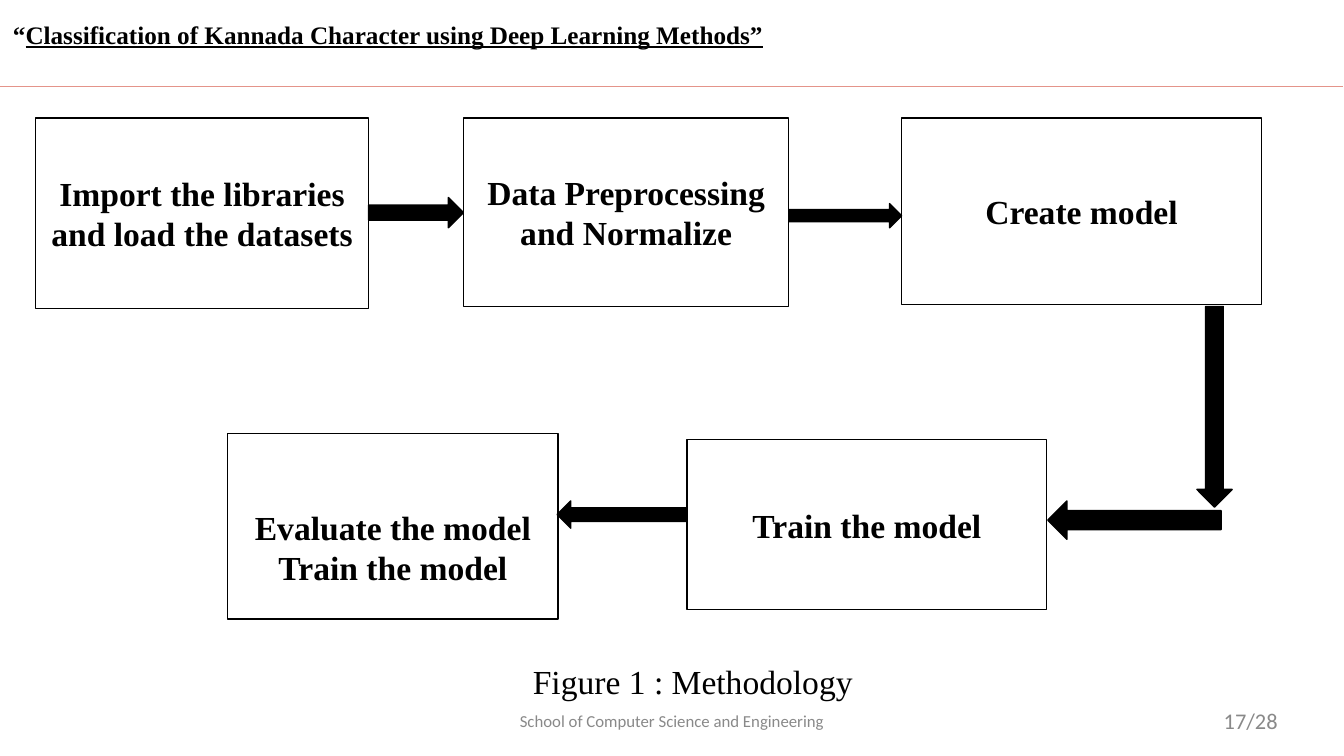
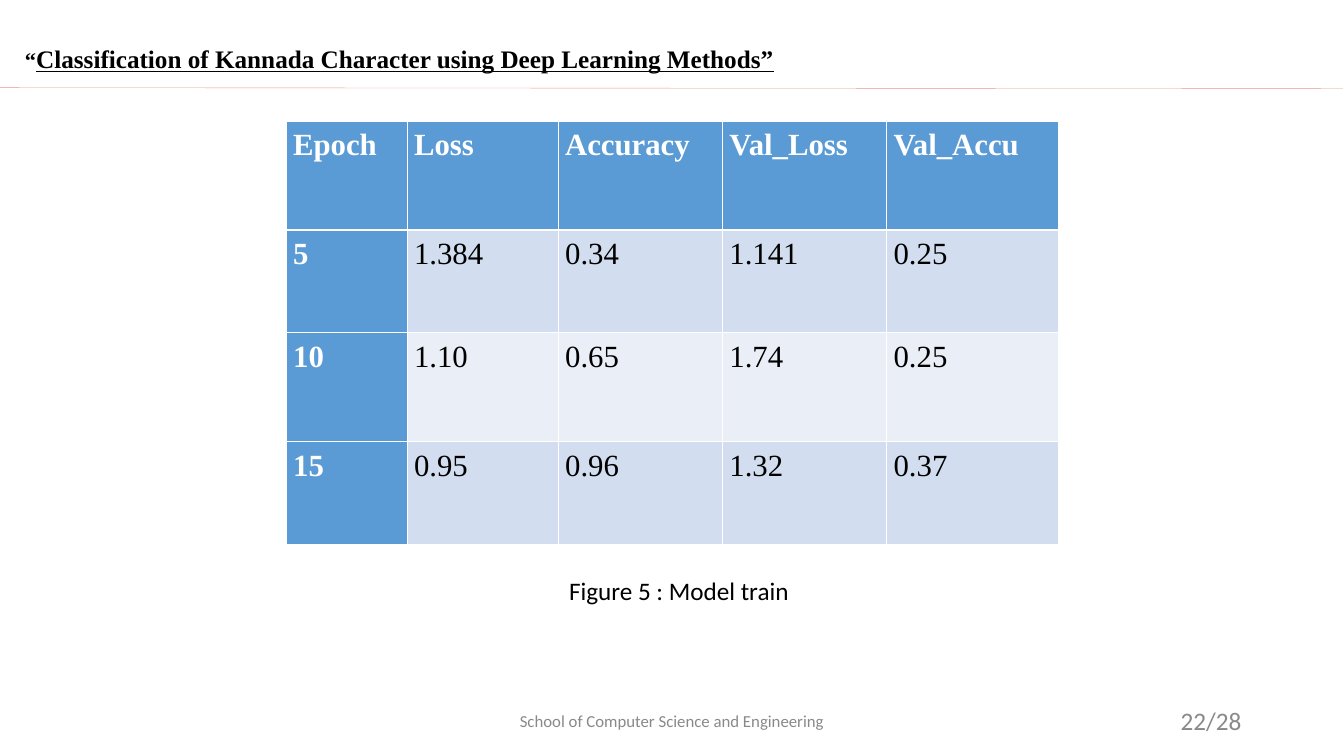
"""Build two project slides: a methodology flow and a training results table."""
from lxml import etree
from pptx import Presentation
from pptx.dml.color import RGBColor
from pptx.enum.shapes import MSO_CONNECTOR, MSO_SHAPE as SHAPE
from pptx.enum.text import MSO_ANCHOR as ANCHOR, PP_ALIGN as ALIGN
from pptx.oxml import parse_xml
from pptx.oxml.ns import nsdecls, qn
from pptx.util import Inches, Pt

BLACK = RGBColor(0x00, 0x00, 0x00)
WHITE = RGBColor(0xFF, 0xFF, 0xFF)
GREY = RGBColor(0x89, 0x89, 0x89)
ROSE = RGBColor(0xE4, 0x94, 0x8A)
BLUE = RGBColor(0x5B, 0x9B, 0xD5)
BANDS = [RGBColor(0xD2, 0xDE, 0xEF), RGBColor(0xEA, 0xEF, 0xF7)]
SERIF, SANS = "Times New Roman", "Calibri"
TITLE = "Classification of Kannada Character using Deep Learning Methods”"
SCHOOL = "School of Computer Science and Engineering"
PAGES = 28


class Deck:
    def __init__(self):
        self.prs = Presentation()
        self.prs.slide_width, self.prs.slide_height = Inches(13.34), Inches(7.5)
        self.s = None

    def style(self, p, size, font=SERIF, color=BLACK, bold=False, align=ALIGN.LEFT):
        p.alignment = align
        p.font.size, p.font.name, p.font.bold = Pt(size), font, bold
        p.font.color.rgb = color

    def text(self, box, text, size, anchor=ANCHOR.MIDDLE, **style):
        sp = self.s.shapes.add_textbox(*map(Inches, box))
        tf = sp.text_frame
        tf.word_wrap = True
        tf.vertical_anchor = anchor
        p = tf.paragraphs[0]
        p.text = text
        self.style(p, size, **style)
        return p

    def slide(self, number, title_at, quote_size, rule_y, page_right, page_size):
        self.s = self.prs.slides.add_slide(self.prs.slide_layouts[6])
        self.rule(*rule_y)
        p = self.text((*title_at, 9.1, 0.4), "“", 18, bold=True)
        p.runs[0].font.size = Pt(quote_size)
        r = p.add_run()
        r.text = TITLE
        r.font.underline = True
        self.text((4.42, 6.95, 4.5, 0.4), SCHOOL, 12, font=SANS, color=GREY, align=ALIGN.CENTER)
        self.text((page_right - 3, 6.95, 3, 0.4), f"{number}/{PAGES}", page_size,
                  font=SANS, color=GREY, align=ALIGN.RIGHT)

    def rule(self, y1, y2):
        line = self.s.shapes.add_connector(
            MSO_CONNECTOR.STRAIGHT, 0, Inches(y1), Inches(13.33), Inches(y2))
        line.line.color.rgb, line.line.width = ROSE, Pt(0.25)
        etree.SubElement(line._element.spPr, qn("a:effectLst"))

    def shape(self, kind, box, fill):
        sp = self.s.shapes.add_shape(kind, *map(Inches, box))
        sp.shadow.inherit = False
        sp.fill.solid()
        sp.fill.fore_color.rgb = fill
        sp.line.color.rgb, sp.line.width = BLACK, Pt(1)
        return sp

    def step(self, box, lines, top=0.05):
        tf = self.shape(SHAPE.RECTANGLE, box, WHITE).text_frame
        tf.word_wrap = True
        tf.vertical_anchor = ANCHOR.MIDDLE
        tf.margin_top = Inches(top)
        tf.text = lines
        for p in tf.paragraphs:
            self.style(p, 24, bold=True, align=ALIGN.CENTER)

    def border(self, cell, side, width):
        cell._tc.get_or_add_tcPr().append(parse_xml(
            f'<a:ln{side} {nsdecls("a")} w="{Pt(width)}"><a:solidFill>'
            f'<a:srgbClr val="{WHITE}"/></a:solidFill></a:ln{side}>'))

    def table(self, left, top, widths, heights, rows):
        table = self.s.shapes.add_table(
            len(rows), len(widths), Inches(left), Inches(top),
            Inches(sum(widths)), Inches(sum(heights))).table
        for column, width in zip(table.columns, widths):
            column.width = Inches(width)
        for i, (values, height) in enumerate(zip(rows, heights)):
            table.rows[i].height = Inches(height)
            for j, value in enumerate(values):
                self.cell(table.cell(i, j), value, i, i == 0 or j == 0)

    def cell(self, cell, value, row, head):
        for side in "LRTB":
            under_header = (row, side) in [(0, "B"), (1, "T")]
            self.border(cell, side, 1.5 if under_header else 0.45)
        cell.fill.solid()
        cell.fill.fore_color.rgb = BLUE if head else BANDS[(row - 1) % 2]
        cell.margin_left = cell.margin_right = Inches(0.07)
        cell.text = value
        p = cell.text_frame.paragraphs[0]
        p.line_spacing, p.space_after = 1.07, Pt(8)
        self.style(p, 22, color=WHITE if head else BLACK, bold=head)


def methodology(deck):
    deck.slide(17, (0.03, 0.14), 18, (0.86, 0.86), 12.78, 16)
    deck.step((0.35, 1.17, 3.31, 1.89), "Import the libraries and load the datasets")
    deck.step((4.6, 1.17, 3.23, 1.87), "Data Preprocessing and Normalize")
    deck.step((8.95, 1.17, 3.57, 1.85), "Create model")
    deck.step((2.26, 4.3, 3.28, 1.84), "Evaluate the model\nTrain the model", top=0.46)
    deck.step((6.82, 4.36, 3.57, 1.69), "Train the model")
    for kind, box in [
        (SHAPE.RIGHT_ARROW, (3.66, 1.96, 0.94, 0.3)),
        (SHAPE.RIGHT_ARROW, (7.83, 2.02, 1.12, 0.24)),
        (SHAPE.DOWN_ARROW, (11.88, 3.04, 0.35, 1.99)),
        (SHAPE.LEFT_ARROW, (5.53, 4.97, 1.29, 0.27)),
        (SHAPE.LEFT_ARROW, (10.4, 4.97, 1.72, 0.38)),
    ]:
        deck.shape(kind, box, BLACK)
    deck.text((5.19, 6.51, 3.6, 0.5), "Figure 1 : Methodology", 24, anchor=ANCHOR.TOP)


def results(deck):
    deck.slide(22, (0.15, 0.38), 16, (0.87, 0.88), 12.42, 18)
    deck.table(2.84, 1.2, [1.2, 1.5, 1.63, 1.63, 1.7], [1.08, 1.02, 1.08, 1.02], [
        ["Epoch", "Loss", "Accuracy", "Val_Loss", "Val_Accu"],
        ["5", "1.384", "0.34", "1.141", "0.25"],
        ["10", "1.10", "0.65", "1.74", "0.25"],
        ["15", "0.95", "0.96", "1.32", "0.37"],
    ])
    deck.text((5.55, 5.66, 3.5, 0.4), "Figure 5 : Model train", 18, anchor=ANCHOR.TOP, font=SANS)


def main():
    deck = Deck()
    methodology(deck)
    results(deck)
    deck.prs.save("out.pptx")


if __name__ == "__main__":
    main()
